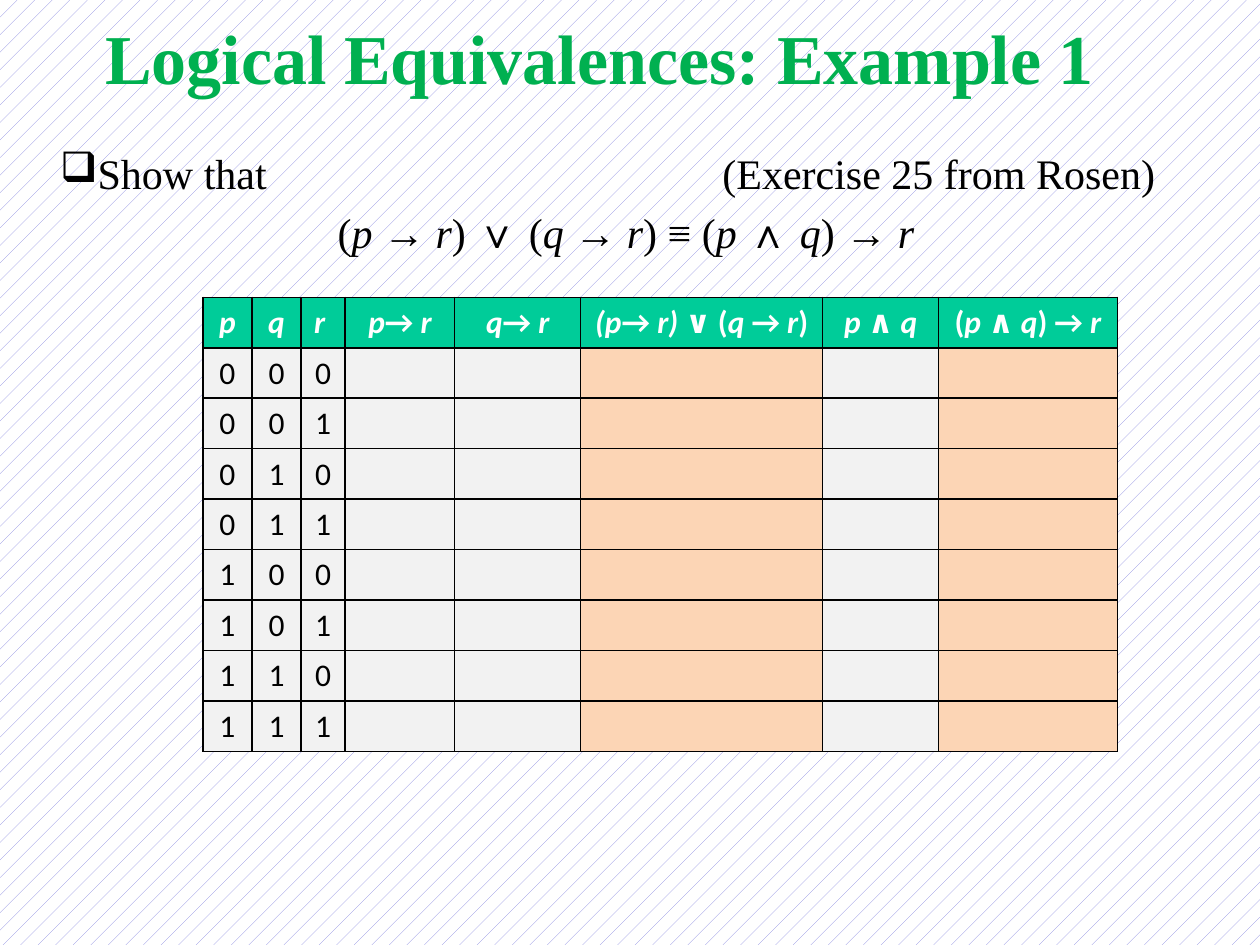
"""Build the slide with the truth table for a logical equivalence."""
from itertools import product

from lxml.etree import SubElement
from pptx import Presentation
from pptx.dml.color import RGBColor
from pptx.enum.dml import MSO_PATTERN
from pptx.enum.text import MSO_ANCHOR, PP_ALIGN
from pptx.oxml import parse_xml
from pptx.oxml.ns import nsdecls, qn
from pptx.util import Inches, Pt

SERIF = "Times New Roman"
BLACK = "000000"
HEADERS = ["_p_", "_q_", "_r _", "_p_→ _r_", "_q_→ _r_",
           "_(p_→ _r)_ ∨ (_q _→ _r_)", "_p _∧ _q_", "(_p _∧ _q_) → _r _"]
WIDTHS = [0.39, 0.39, 0.35, 0.87, 1, 1.92, 0.92, 1.42]
RESULTS = (5, 7)
ROW = 0.4


def color(value):
    """Turn a hex string into a colour."""
    return RGBColor.from_string(value)


def write(para, text, face, size, ink, bold=False, align=PP_ALIGN.CENTER):
    """Fill a paragraph, with italics between underscores."""
    para.alignment = align
    font = para.font
    font.name, font.size, font.bold = face, Pt(size), bold
    font.color.rgb = color(ink)
    for index, part in enumerate(text.split("_")):
        if part:
            span = para.add_run()
            span.text = part
            span.font.italic = index % 2 == 1


deck = Presentation()
deck.slide_width, deck.slide_height = Inches(10), Inches(7.5)
page = deck.slides.add_slide(deck.slide_layouts[6])
backdrop = page.background.fill
backdrop.patterned()
backdrop.pattern = MSO_PATTERN.PERCENT_5
backdrop.fore_color.rgb = color("8585E0")
backdrop.back_color.rgb = color("FFFFFF")

title = page.shapes.add_textbox(Inches(0.51), Inches(0.12), Inches(8.5), Inches(0.65)).text_frame
title.word_wrap = True
title.vertical_anchor = MSO_ANCHOR.MIDDLE
write(title.paragraphs[0], "Logical Equivalences: Example 1", SERIF, 40, "00B050", bold=True)

body = page.shapes.add_textbox(Inches(0.38), Inches(1.12), Inches(9.26), Inches(4.92)).text_frame
body.word_wrap = True
task, formula = body.paragraphs[0], body.add_paragraph()
for para, bullet in ((task, "❑"), (formula, None)):
    props = para._p.get_or_add_pPr()
    props.set("marL", str(Inches(0.25)))
    props.set("indent", str(-Inches(0.25)))
    if bullet:
        SubElement(props, qn("a:buChar"), char=bullet)
    else:
        SubElement(props, qn("a:buNone"))
    tabs = SubElement(props, qn("a:tabLst"))
    SubElement(tabs, qn("a:tab"), pos=str(Inches(8.69)), algn="r")
formula.space_before = Pt(5)
write(task, "Show that \t(Exercise 25 from Rosen)", SERIF, 24, BLACK, align=PP_ALIGN.LEFT)
write(formula, "(_p _→ _r_) ∨ (_q _→ _r_) ≡ (_p _∧ _q_) → _r _", SERIF, 24, BLACK)

rows = [HEADERS] + [list(values) + [""] * 5 for values in product("01", repeat=3)]
table = page.shapes.add_table(len(rows), len(WIDTHS), Inches(1.61), Inches(2.36),
                              Inches(sum(WIDTHS)), Inches(ROW * len(rows))).table
for column, width in zip(table.columns, WIDTHS):
    column.width = Inches(width)
for row_index, texts in enumerate(rows):
    table.rows[row_index].height = Inches(ROW)
    heading = row_index == 0
    for column_index, text in enumerate(texts):
        cell = table.cell(row_index, column_index)
        shade = "00CC99" if heading else "FCD5B5" if column_index in RESULTS else "F2F2F2"
        cell.fill.solid()
        cell.fill.fore_color.rgb = color(shade)
        write(cell.text_frame.paragraphs[0], text, "Calibri", 18,
              "FFFFFF" if heading else BLACK, bold=heading)
        for order, side in enumerate("LRTB"):
            cell._tc.get_or_add_tcPr().insert(order, parse_xml(
                f'<a:ln{side} {nsdecls("a")} w="{Pt(1)}"><a:solidFill>'
                f'<a:srgbClr val="{BLACK}"/></a:solidFill></a:ln{side}>'))

deck.save("out.pptx")
